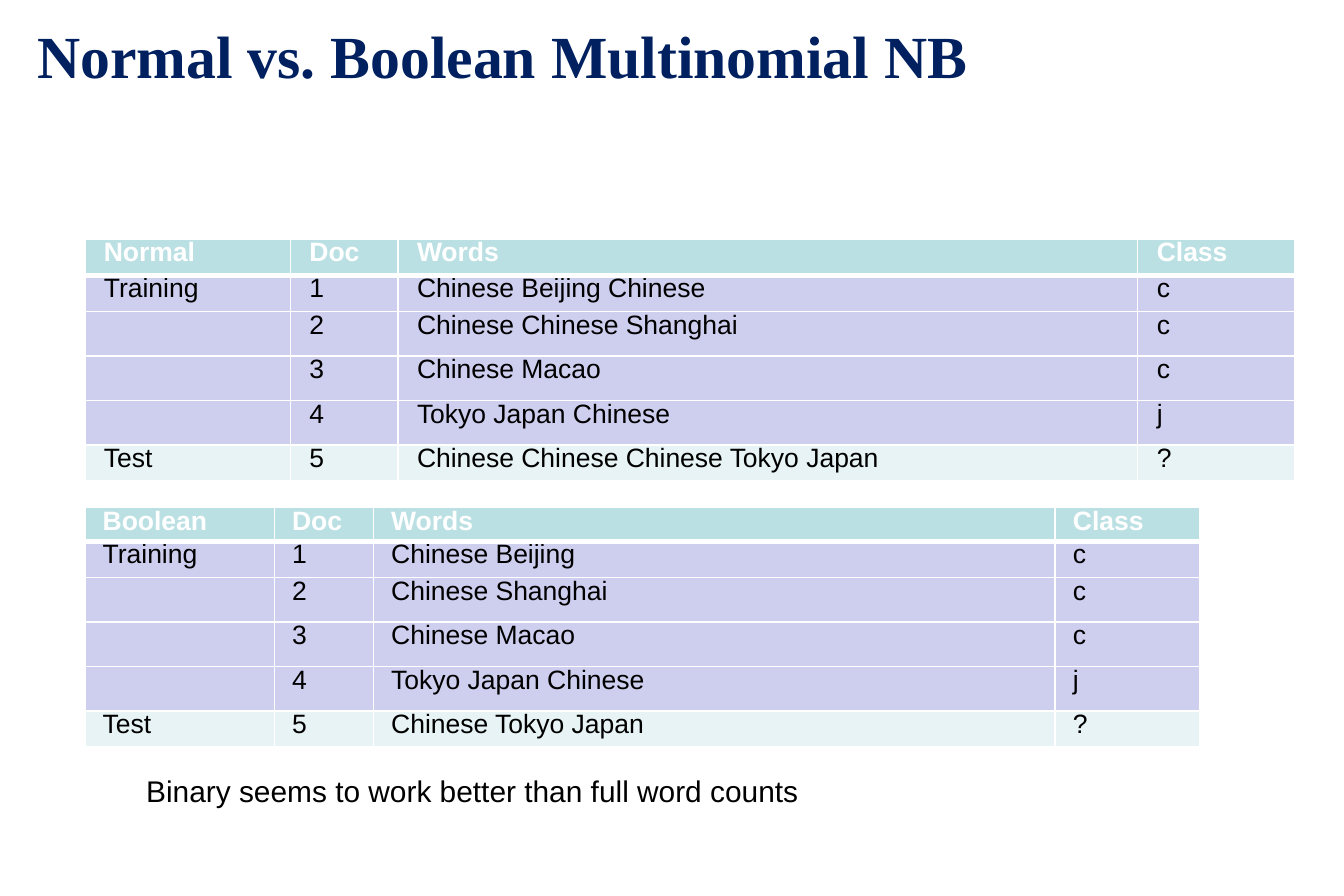
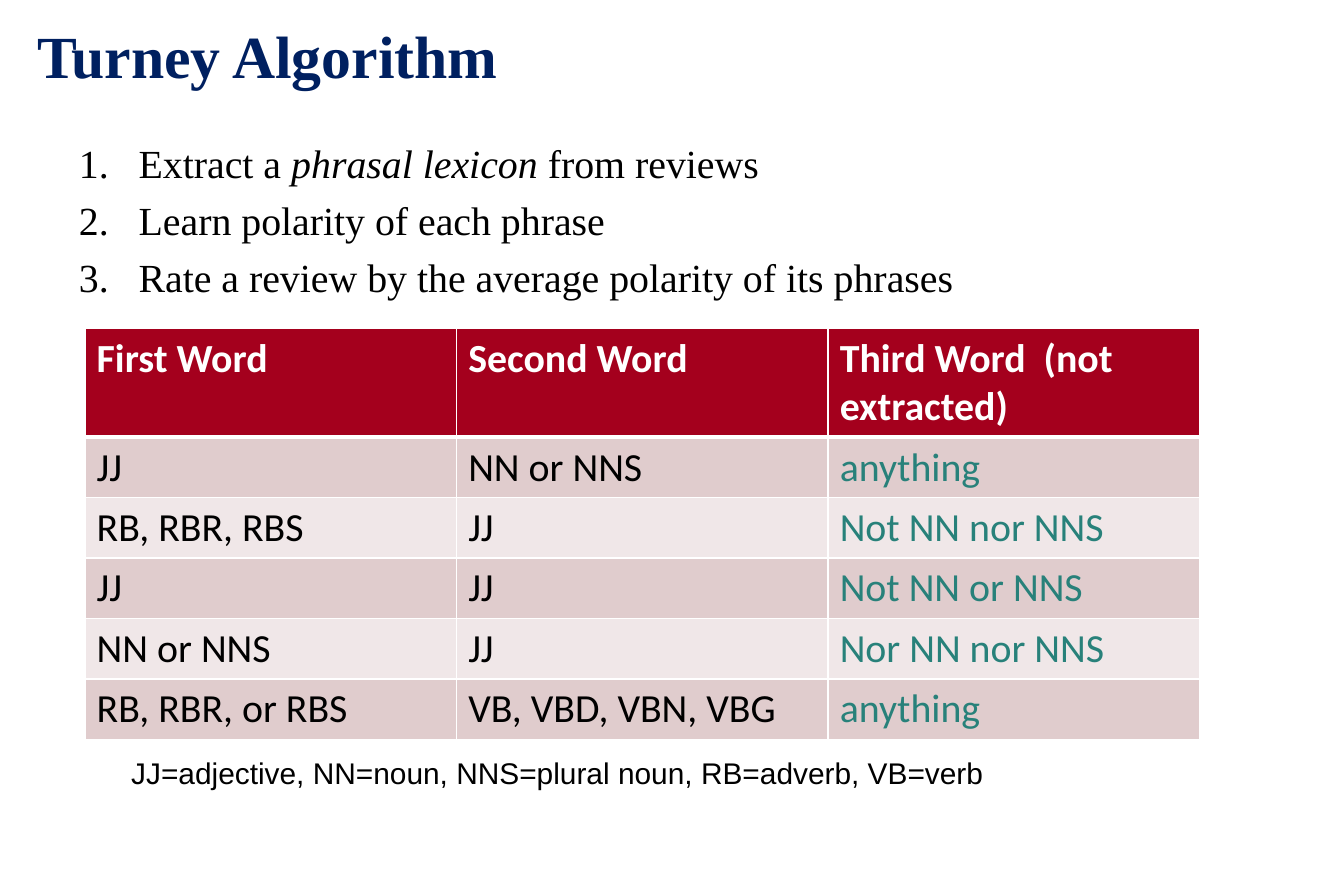
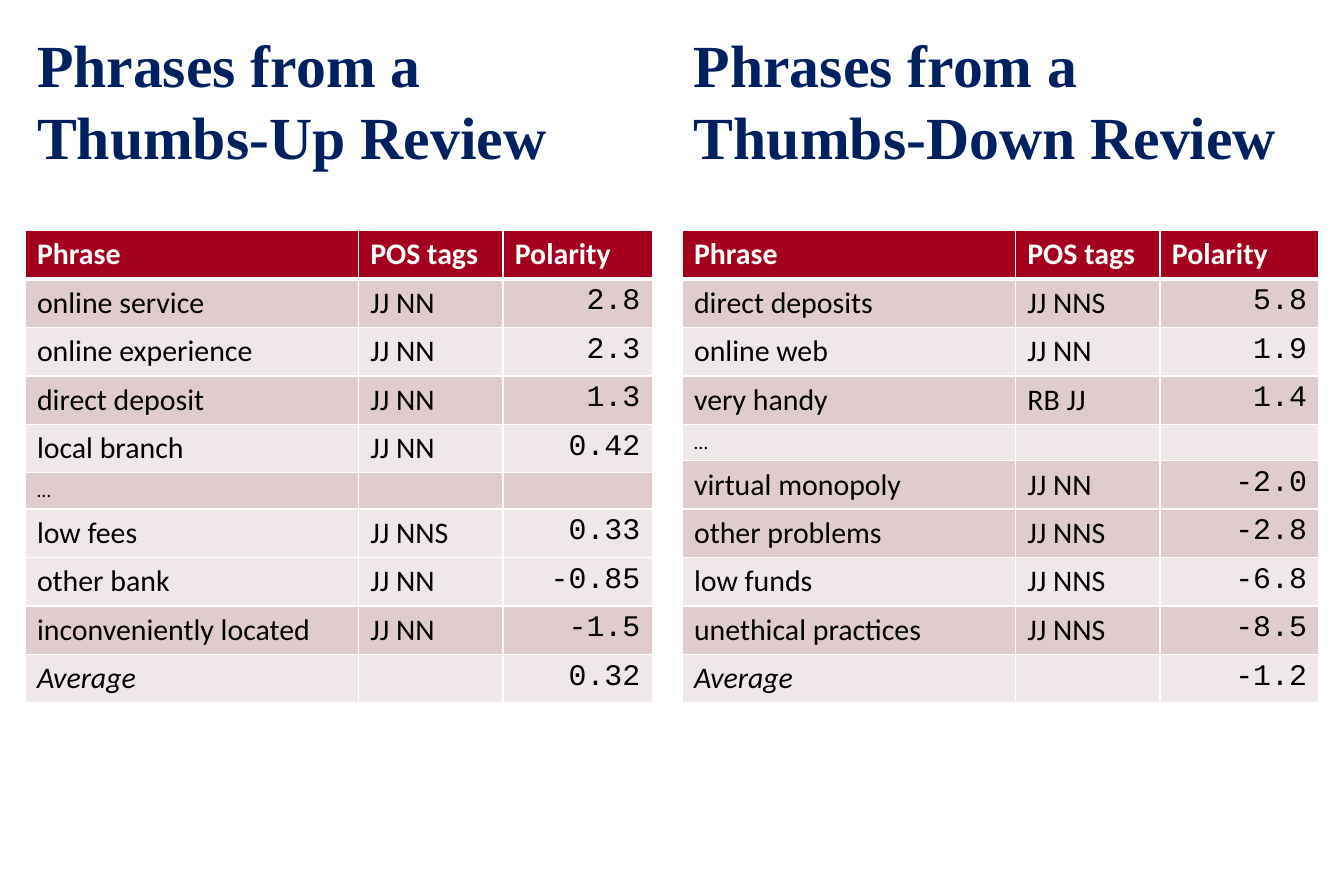
import pptx
import pptx.util
import pptx.dml.color
import pptx.enum.text
import pptx.oxml.ns
import lxml.etree

INK = {"title": "002060", "text": "000000", "white": "FFFFFF", "aqua": "BBE0E3",
       "lilac": "CECEEF", "mist": "E7F3F4", "red": "A4001D", "rose": "E0CCCD",
       "pale": "F0E7E8", "teal": "28817A"}
SERIF, SANS, BODY, MONO = "Times New Roman", "Arial", "Calibri", "Courier New"
WIDE, HIGH = pptx.util.Inches(11.25), pptx.util.Inches(7.5)
COLS, ROWS = 90, 60
LEFT, RIGHT = 1.68, 45.68
ALIGN = pptx.enum.text.PP_ALIGN
ANCHOR = pptx.enum.text.MSO_ANCHOR


def grid(x, y, w, h):
    """Turn columns and rows of the slide grid into lengths."""
    return [int(x * WIDE / COLS), int(y * HIGH / ROWS),
            int(w * WIDE / COLS), int(h * HIGH / ROWS)]


def tint(name):
    """Give a named colour."""
    return pptx.dml.color.RGBColor.from_string(INK[name])


def node(parent, tag, **attrs):
    """Append a drawing element."""
    return lxml.etree.SubElement(parent, pptx.oxml.ns.qn("a:" + tag), **attrs)


def style(para, face, size, color="text", bold=False, italic=False):
    """Format all runs of a paragraph."""
    for run in para.runs:
        font = run.font
        font.name, font.size = face, pptx.util.Pt(size)
        font.bold, font.italic = bold, italic
        font.color.rgb = tint(color)


def head(shape, text, box):
    """Place a heading in the shared title style."""
    shape.left, shape.top, shape.width, shape.height = grid(*box)
    frame = shape.text_frame
    frame.word_wrap = True
    frame.auto_size = pptx.enum.text.MSO_AUTO_SIZE.NONE
    frame.vertical_anchor = ANCHOR.MIDDLE
    frame.text = text
    for para in frame.paragraphs:
        para.alignment = ALIGN.LEFT
        style(para, SERIF, 36, "title", bold=True)


def start(deck, text, box=(LEFT, 1.36, 71.84, 4.64)):
    """Add a slide with its title."""
    slide = deck.slides.add_slide(deck.slide_layouts[5])
    head(slide.shapes.title, text, box)
    return slide


def note(slide, text, box):
    """Add a line of remark below a table."""
    frame = slide.shapes.add_textbox(*grid(*box)).text_frame
    frame.word_wrap = True
    frame.text = text
    style(frame.paragraphs[0], SANS, 18)


def steps(slide, items, box):
    """Add a numbered list; each item is a list of (text, italic) runs."""
    frame = slide.shapes.add_textbox(*grid(*box)).text_frame
    frame.word_wrap = True
    for i, item in enumerate(items):
        para = frame.paragraphs[0] if i == 0 else frame.add_paragraph()
        props = para._p.get_or_add_pPr()
        props.set("marL", str(pptx.util.Inches(0.5)))
        props.set("indent", str(pptx.util.Inches(-0.5)))
        node(props, "buFont", typeface="+mj-lt")
        node(props, "buAutoNum", type="arabicPeriod")
        if i:
            para.space_before = pptx.util.Pt(5.5)
        for text, _ in item:
            para.add_run().text = text
        style(para, SERIF, 24)
        for run, (_, italic) in zip(para.runs, item):
            run.font.italic = italic


def edge(cell, row):
    """Draw white borders, thick below the header row."""
    props = cell._tc.get_or_add_tcPr()
    for side in "LRTB":
        thick = (row, side) in ((0, "B"), (1, "T"))
        line = node(props, "ln" + side, w=str(pptx.util.Pt(3 if thick else 1)))
        fill = node(line, "solidFill")
        node(fill, "srgbClr", val=INK["white"])


def table(slide, x, y, width, parts, heights, data, fills, dress):
    """Add a table with column shares, row heights and row fills."""
    box = grid(x, y, width, sum(heights))
    tab = slide.shapes.add_table(len(data), len(parts), *box).table
    tab.first_row = tab.horz_banding = False
    for col, part in zip(tab.columns, parts):
        col.width = int(box[2] * part / sum(parts))
    for r, values in enumerate(data):
        tab.rows[r].height = grid(0, 0, 0, heights[r])[3]
        for c, value in enumerate(values):
            cell = tab.cell(r, c)
            edge(cell, r)
            cell.fill.solid()
            cell.fill.fore_color.rgb = tint(fills[r])
            cell.text = value
            dress(cell, r, c, values)


def corpus(slide, name, docs, y, width, top, pad):
    """Add a table of training and test documents."""
    data = [(name, "Doc", "Words", "Class")]
    for i, (words, kind) in enumerate(zip(docs, "cccj?")):
        label = {0: "Training", 4: "Test"}.get(i, "")
        data.append((label, str(i + 1), words, kind))

    def dress(cell, r, c, values):
        """Set tight lines of sans text."""
        cell.margin_left = cell.margin_right = pptx.util.Inches(pad)
        para = cell.text_frame.paragraphs[0]
        para.line_spacing = 0.7
        style(para, SANS, 16, "text" if r else "white", bold=r == 0)
        if not values[c]:
            node(para._p, "endParaRPr", sz="1600")

    table(slide, 5.68, y, width, (172, 90, 619, 131),
          [top, 2.44, 2.78, 2.78, 2.78, 2.4], data,
          ["aqua"] + ["lilac"] * 4 + ["mist"], dress)


def tags(slide, data):
    """Add the table of tag patterns."""
    def dress(cell, r, c, values):
        """Set body text, teal in the last column."""
        color = "white" if r == 0 else "teal" if c == 2 else "text"
        style(cell.text_frame.paragraphs[0], BODY, 24, color, bold=r == 0)

    table(slide, 5.68, 22, 74.64, (1, 1, 1), [7.28] + [4.05] * 5, data,
          ["red", "rose", "pale", "rose", "pale", "rose"], dress)


def scores(slide, x, width, last, rows, odd):
    """Add a table of phrases and their polarity; odd marks the rose rows."""
    data = [("Phrase", "POS tags", "Polarity")] + rows
    fills = ["red"] + ["rose" if i in odd else "pale" for i in range(1, len(data))]

    def dress(cell, r, c, values):
        """Set body text and right-aligned figures."""
        para = cell.text_frame.paragraphs[0]
        figure = r > 0 and c == 2
        size = 12 if values[0] == "…" else 18
        if figure:
            para.alignment = ALIGN.RIGHT
        style(para, MONO if figure else BODY, size, "text" if r else "white",
              bold=r == 0, italic=values[c] == "Average")
        if not values[c]:
            node(para._p, "endParaRPr", sz=str(size * 100))

    heights = [2.43 if row[0] == "…" else 3.24 for row in data]
    table(slide, x, 15.44, width, (2.79, 1.21, last), heights, data, fills, dress)


def naive(deck):
    """Build the slide on normal and Boolean counts."""
    slide = start(deck, "Normal vs. Boolean Multinomial NB")
    corpus(slide, "Normal",
           ["Chinese Beijing Chinese", "Chinese Chinese Shanghai", "Chinese Macao",
            "Tokyo Japan Chinese", "Chinese Chinese Chinese Tokyo Japan"],
           16, 81, 2.44, 0.16)
    corpus(slide, "Boolean",
           ["Chinese Beijing", "Chinese Shanghai", "Chinese Macao",
            "Tokyo Japan Chinese", "Chinese Tokyo Japan"],
           34, 74.64, 2.25, 0.15)
    note(slide, "Binary seems to work better than full word counts", (9, 51.36, 66, 3.2))


def turney(deck):
    """Build the slide on the algorithm."""
    slide = start(deck, "Turney Algorithm")
    steps(slide, [
        [("Extract a ", False), ("phrasal lexicon ", True), ("from reviews", False)],
        [("Learn polarity of each phrase", False)],
        [("Rate a review by the average polarity of its phrases", False)],
    ], (4.5, 8.9, 81, 13))
    tags(slide, [
        ("First Word", "Second Word", "Third Word  (not extracted)"),
        ("JJ", "NN or NNS", "anything"),
        ("RB, RBR, RBS", "JJ", "Not NN nor NNS"),
        ("JJ", "JJ", "Not NN or NNS"),
        ("NN or NNS", "JJ", "Nor NN nor NNS"),
        ("RB, RBR, or RBS", "VB, VBD, VBN, VBG", "anything"),
    ])
    note(slide, "JJ=adjective, NN=noun, NNS=plural noun, RB=adverb, VB=verb",
         (8, 50.16, 61, 3.2))


def reviews(deck):
    """Build the slide that sets two reviews side by side."""
    slide = start(deck, "Phrases from a Thumbs-Up Review", (LEFT, 1.36, 40.64, 10.64))
    scores(slide, LEFT, 42, 1.25, [
        ("online service", "JJ NN", "2.8"),
        ("online experience", "JJ NN", "2.3"),
        ("direct deposit", "JJ NN", "1.3"),
        ("local branch", "JJ NN", "0.42"),
        ("…", "", ""),
        ("low fees", "JJ NNS", "0.33"),
        ("other bank", "JJ NN", "-0.85"),
        ("inconveniently located", "JJ NN", "-1.5"),
        ("Average", "", "0.32"),
    ], (1, 3, 5, 8))
    scores(slide, RIGHT, 42.64, 1.33, [
        ("direct deposits", "JJ NNS", "5.8"),
        ("online web", "JJ NN", "1.9"),
        ("very handy", "RB JJ", "1.4"),
        ("…", "", ""),
        ("virtual monopoly", "JJ NN", "-2.0"),
        ("other problems", "JJ NNS", "-2.8"),
        ("low funds", "JJ NNS", "-6.8"),
        ("unethical practices", "JJ NNS", "-8.5"),
        ("Average", "", "-1.2"),
    ], (1, 3, 5, 6, 8))
    box = (RIGHT, 1.36, 42.64, 10.64)
    head(slide.shapes.add_textbox(*grid(*box)),
         "Phrases from a\nThumbs-Down Review", box)


def main():
    """Build and save the deck."""
    deck = pptx.Presentation()
    deck.slide_width, deck.slide_height = WIDE, HIGH
    for build in (naive, turney, reviews):
        build(deck)
    deck.save("out.pptx")


if __name__ == "__main__":
    main()
